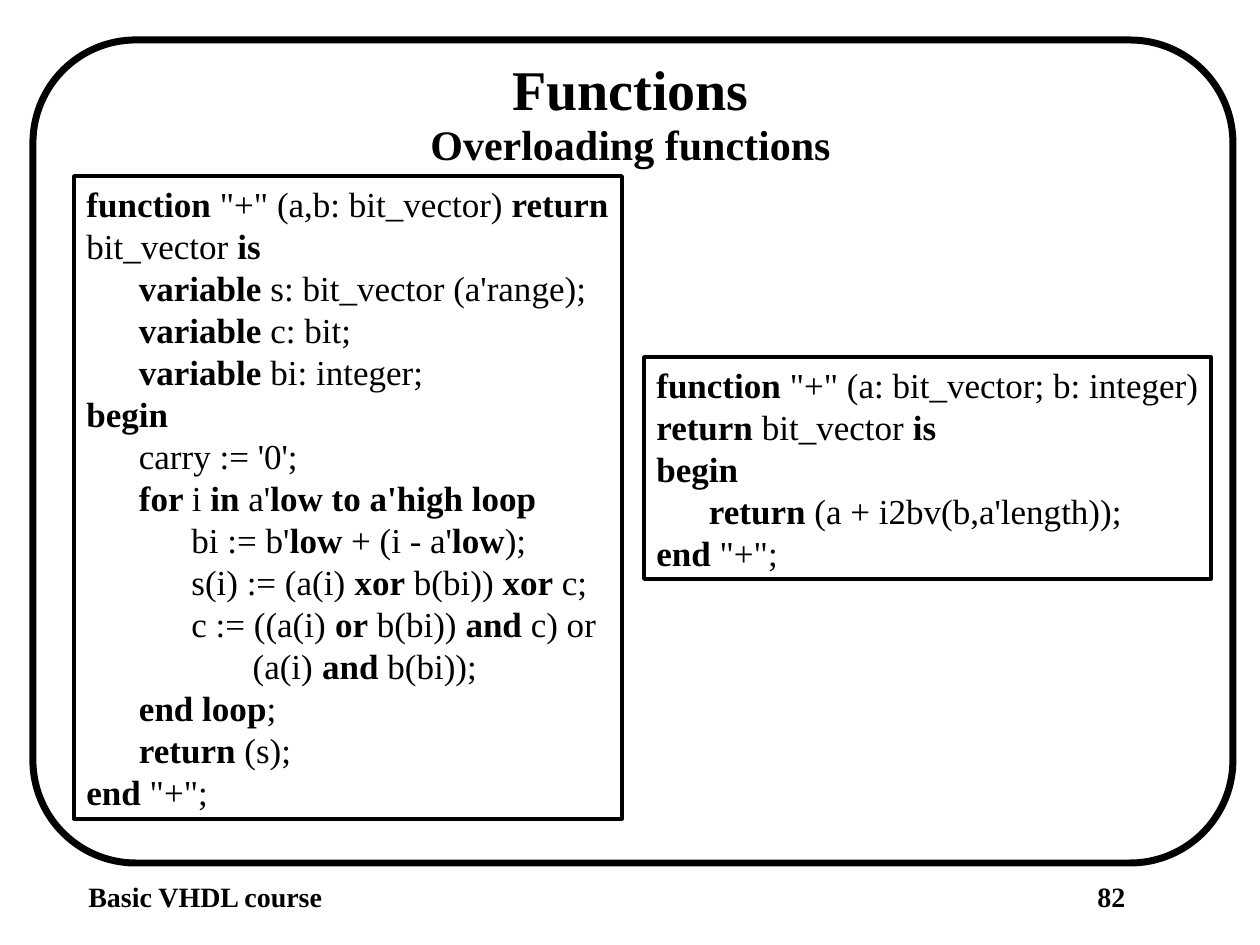
from pptx import Presentation
from pptx.dml.color import RGBColor
from pptx.enum.shapes import MSO_SHAPE
from pptx.enum.text import MSO_ANCHOR, MSO_AUTO_SIZE, PP_ALIGN
from pptx.util import Emu, Pt

RECTANGLE = MSO_SHAPE.RECTANGLE
ROUNDED = MSO_SHAPE.ROUNDED_RECTANGLE
TOP = MSO_ANCHOR.TOP
GROW = MSO_AUTO_SIZE.SHAPE_TO_FIT_TEXT
LEFT = PP_ALIGN.LEFT

PX_PER_INCH = 126
FONT = "Times New Roman"
BLACK = "000000"
BOLD_MARK = "**"

# Code listings: keywords between ** are bold
VECTOR_FUNCTION = """\
**function** "+" (a,b: bit_vector) **return**
bit_vector **is**
**      variable** s: bit_vector (a'range);
**      variable** c: bit;
**      variable** bi: integer;
**begin**
      carry := '0';
      **for **i **in** a'**low to a'high loop**
            bi := b'**low** + (i - a'**low**);
            s(i) := (a(i) **xor** b(bi)) **xor** c;
            c := ((a(i) **or** b(bi)) **and** c) or
                   (a(i) **and** b(bi));
      **end loop**;
      **return** (s);
**end** "+";"""

INTEGER_FUNCTION = """\
**function** "+" (a: bit_vector; b: integer)
**return** bit_vector **is**
**begin**
      **return** (a + i2bv(b,a'length));
**end** "+";"""


def px(length):
    return Emu(round(length * 914400 / PX_PER_INCH))


def color(hex_string):
    return RGBColor.from_string(hex_string)


def set_font(font, size):
    font.name = FONT
    font.size = Pt(size)
    font.color.rgb = color(BLACK)


def fit_text(text_frame):
    text_frame.word_wrap = False
    text_frame.auto_size = GROW
    text_frame.vertical_anchor = TOP


def add_outline(slide, kind, box, line_width):
    shape = slide.shapes.add_shape(kind, *map(px, box))
    shape.shadow.inherit = False
    shape.fill.background()
    shape.line.color.rgb = color(BLACK)
    shape.line.width = Pt(line_width)
    return shape


def add_label(slide, box, text, size):
    text_frame = slide.shapes.add_textbox(*map(px, box)).text_frame
    fit_text(text_frame)
    paragraph = text_frame.paragraphs[0]
    paragraph.text = text
    set_font(paragraph.font, size)
    paragraph.font.bold = True


def add_code(slide, box, code):
    text_frame = add_outline(slide, RECTANGLE, box, 2).text_frame
    fit_text(text_frame)
    for index, line in enumerate(code.splitlines()):
        paragraph = text_frame.add_paragraph() if index else text_frame.paragraphs[0]
        paragraph.alignment = LEFT
        set_font(paragraph.font, 20)
        for position, part in enumerate(line.split(BOLD_MARK)):
            if part:
                run = paragraph.add_run()
                run.text = part
                run.font.bold = position % 2 == 1


def main():
    presentation = Presentation()
    presentation.slide_width = px(1260)
    presentation.slide_height = px(945)
    slide = presentation.slides.add_slide(presentation.slide_layouts[6])

    # Frame and footer
    frame = add_outline(slide, ROUNDED, (33, 40, 1200, 823), 4)
    frame.adjustments[0] = 0.125
    add_label(slide, (1085, 873, 151, 45), "82", 16)
    add_label(slide, (76, 873, 261, 45), "Basic VHDL course", 16)

    # Headings
    add_label(slide, (500, 48, 262, 79), "Functions", 32)
    add_label(slide, (418, 112, 425, 63), "Overloading functions", 24)

    # Overloaded functions
    add_code(slide, (74, 176, 548, 643), VECTOR_FUNCTION)
    add_code(slide, (644, 357, 567, 222), INTEGER_FUNCTION)

    presentation.save("out.pptx")


if __name__ == "__main__":
    main()
